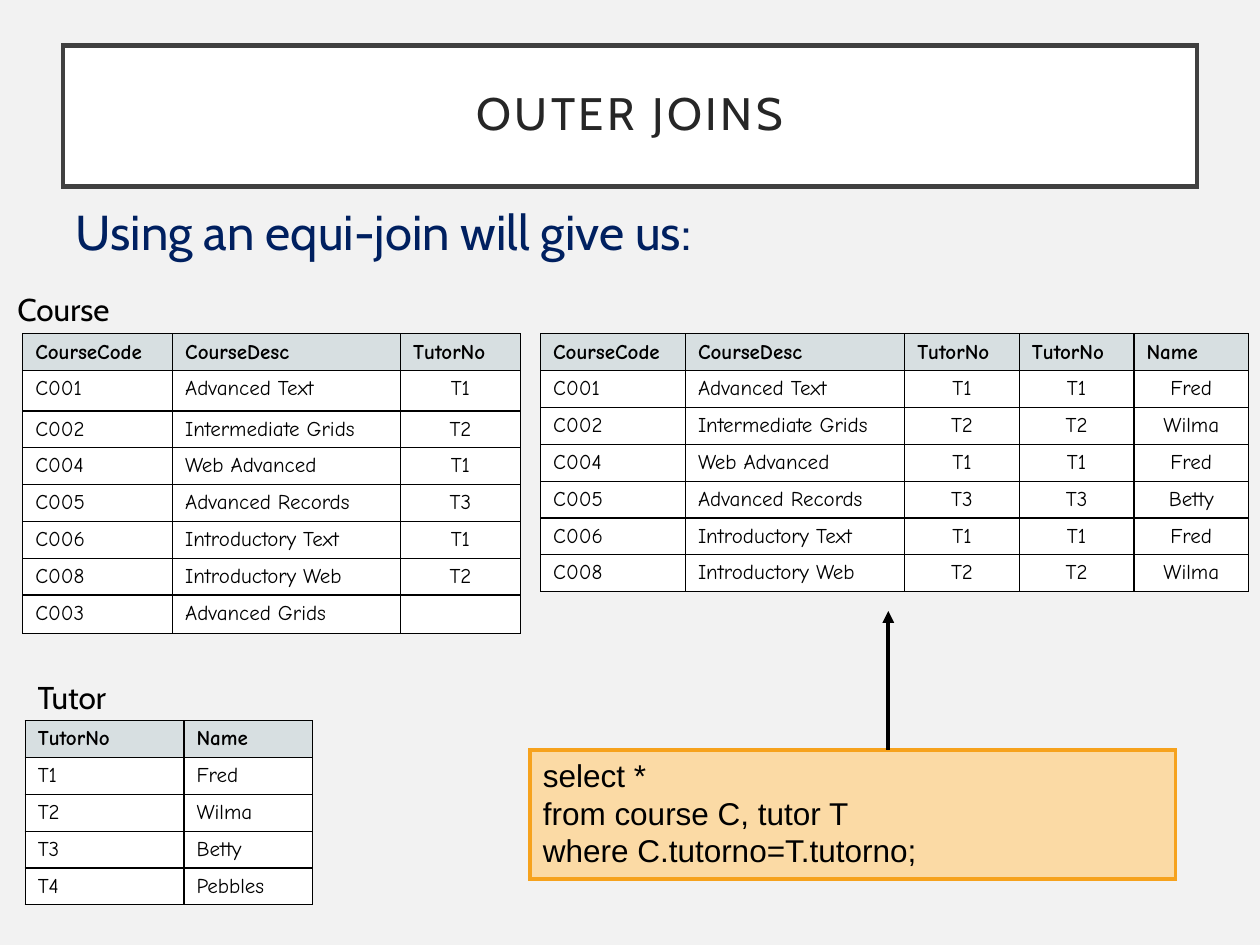
from lxml.etree import SubElement
from pptx import Presentation
from pptx.dml.color import RGBColor
from pptx.enum.shapes import MSO_CONNECTOR, MSO_SHAPE
from pptx.enum.text import MSO_ANCHOR as ANCHOR, MSO_AUTO_SIZE as AUTO_SIZE, PP_ALIGN as ALIGN
from pptx.oxml.ns import qn
from pptx.util import Inches, Pt

BLACK = RGBColor(0x00, 0x00, 0x00)
WHITE = RGBColor(0xFF, 0xFF, 0xFF)
BACKGROUND = RGBColor(0xF2, 0xF2, 0xF2)
FRAME = RGBColor(0x40, 0x40, 0x40)
TITLE = RGBColor(0x26, 0x26, 0x26)
NAVY = RGBColor(0x00, 0x20, 0x60)
HEADER = RGBColor(0xD7, 0xDF, 0xE1)
ORANGE = RGBColor(0xF6, 0xA2, 0x1D)
PALE_ORANGE = RGBColor(0xFB, 0xDA, 0xA5)
ROW_HEIGHT = 0.29


def write_text(frame, text, font="Cabin", size=18, color=BLACK, bold=False,
               align=ALIGN.LEFT, anchor=ANCHOR.TOP, hanging=0, spacing=0, line_spacing=1.0):
    frame.word_wrap = True
    frame.vertical_anchor = anchor
    for number, line in enumerate(text.split("\n")):
        paragraph = frame.paragraphs[0] if number == 0 else frame.add_paragraph()
        properties = paragraph._p.get_or_add_pPr()
        properties.set("marL", str(Inches(hanging)))
        properties.set("indent", str(-Inches(hanging)))
        SubElement(properties, qn("a:buNone"))
        paragraph.alignment = align
        paragraph.line_spacing = line_spacing
        paragraph.space_before = Pt(0)
        if not line:
            SubElement(paragraph._p, qn("a:endParaRPr"), sz=str(size * 100))
            continue
        run = paragraph.add_run()
        run.text = line
        run.font.name = font
        run.font.size = Pt(size)
        run.font.bold = bold
        run.font.color.rgb = color
        if spacing:
            run.font._element.set("spc", str(spacing * 100))


def add_grid(slide, left, top, widths, rows, centered_from):
    shape = slide.shapes.add_table(len(rows), len(widths), Inches(left), Inches(top),
                                   Inches(sum(widths)), Inches(ROW_HEIGHT * len(rows)))
    table = shape.table
    for column, width in zip(table.columns, widths):
        column.width = Inches(width)
    for row_number, row in enumerate(rows):
        table.rows[row_number].height = Inches(ROW_HEIGHT)
        is_header = row_number == 0
        for column_number, text in enumerate(row):
            cell = table.cell(row_number, column_number)
            centered = not is_header and column_number >= centered_from
            write_text(cell.text_frame, text, font="Comic Neue", size=12, bold=is_header,
                       align=ALIGN.CENTER if centered else ALIGN.LEFT, hanging=0.38)
            cell.vertical_anchor = ANCHOR.MIDDLE if is_header else ANCHOR.TOP
            cell_properties = cell._tc.get_or_add_tcPr()
            for side in ("lnL", "lnR", "lnT", "lnB"):
                border = SubElement(cell_properties, qn(f"a:{side}"), w=str(Pt(0.75)))
                border_fill = SubElement(border, qn("a:solidFill"))
                SubElement(border_fill, qn("a:srgbClr"), val=str(BLACK))
            cell.fill.solid()
            cell.fill.fore_color.rgb = HEADER if is_header else WHITE
    return table


presentation = Presentation()
presentation.slide_width = Inches(10)
presentation.slide_height = Inches(7.5)
slide = presentation.slides.add_slide(presentation.slide_layouts[1])
slide.background.fill.solid()
slide.background.fill.fore_color.rgb = BACKGROUND

# Title and lead sentence
title, body = slide.placeholders
title.left, title.top, title.width, title.height = map(Inches, (0.5, 0.36, 9, 1.12))
title_frame = title.text_frame
title_frame.auto_size = AUTO_SIZE.NONE
title_frame.margin_left = title_frame.margin_right = Inches(0.2)
title_frame.margin_top = title_frame.margin_bottom = Inches(0.2)
write_text(title_frame, "OUTER JOINS", size=26, color=TITLE, align=ALIGN.CENTER,
           anchor=ANCHOR.MIDDLE, spacing=2, line_spacing=0.9)

body.left, body.top, body.width, body.height = map(Inches, (0.5, 1.55, 9.07, 0.63))
body.text_frame.auto_size = AUTO_SIZE.NONE
write_text(body.text_frame, "Using an equi-join will give us:", size=28, color=NAVY)

# Source tables and the table that joins them
courses = [
    ("C001", "Advanced Text", "T1"),
    ("C002", "Intermediate Grids", "T2"),
    ("C004", "Web Advanced", "T1"),
    ("C005", "Advanced Records", "T3"),
    ("C006", "Introductory Text", "T1"),
    ("C008", "Introductory Web", "T2"),
    ("C003", "Advanced Grids", ""),
]
tutors = [("T1", "Fred"), ("T2", "Wilma"), ("T3", "Betty"), ("T4", "Pebbles")]
course_header = ("CourseCode", "CourseDesc", "TutorNo")
tutor_header = ("TutorNo", "Name")
joined = [course + tutor for course in courses for tutor in tutors if course[2] == tutor[0]]

add_grid(slide, 4.29, 2.65, (1.15, 1.74, 0.91, 0.91, 0.91),
         [course_header + tutor_header] + joined, centered_from=2)
course_table = add_grid(slide, 0.18, 2.65, (1.19, 1.81, 0.95),
                        [course_header] + courses, centered_from=2)
course_table.rows[1].height = Inches(0.32)
add_grid(slide, 0.2, 5.72, (1.26, 1.02), [tutor_header] + tutors, centered_from=2)

# Table names
for name, left, top in (("Course", 0.04, 2.25), ("Tutor", 0.2, 5.33)):
    label = slide.shapes.add_textbox(Inches(left), Inches(top), Inches(2.12), Inches(0.4))
    write_text(label.text_frame, name)

# Query box
query = slide.shapes.add_shape(MSO_SHAPE.RECTANGLE, Inches(4.21), Inches(5.95),
                               Inches(5.12), Inches(1.03))
query.shadow.inherit = False
write_text(query.text_frame, "select *\nfrom course C, tutor T\nwhere C.tutorno=T.tutorno;",
           font="Arial")

# Fills and square-cornered outlines of the two boxes
for box, fill, outline, width in ((title, WHITE, FRAME, 2.5),
                                  (query, PALE_ORANGE, ORANGE, 2.25)):
    box.fill.solid()
    box.fill.fore_color.rgb = fill
    box.line.color.rgb = outline
    box.line.width = Pt(width)
    SubElement(box.line._get_or_add_ln(), qn("a:miter"), lim="800000")

# Arrow from the query to its result
arrow = slide.shapes.add_connector(MSO_CONNECTOR.STRAIGHT, Inches(7.05), Inches(5.95),
                                   Inches(7.05), Inches(4.85))
arrow.line.color.rgb = BLACK
arrow.line.width = Pt(2.25)
SubElement(arrow.line._get_or_add_ln(), qn("a:tailEnd"), type="triangle")
SubElement(arrow._element.spPr, qn("a:effectLst"))

presentation.save("out.pptx")
